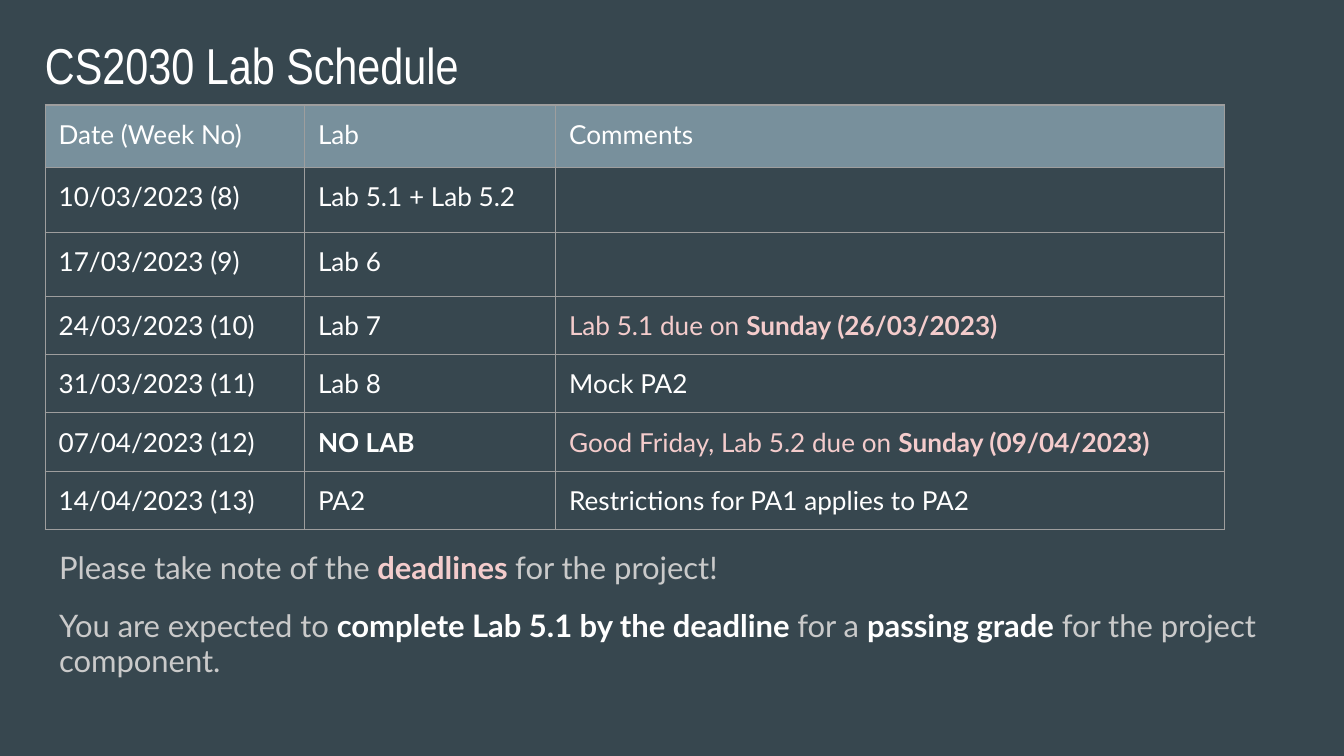
"""Builds the CS2030 lab schedule slide."""
from lxml import etree
from pptx import Presentation
from pptx import util as u
from pptx.dml import color
from pptx.enum import text as t
from pptx.oxml import ns

COLORS = {
    "slate": "37474F", "header": "78909C", "border": "9E9E9E",
    "white": "FFFFFF", "gray": "CACACA", "pink": "F4CCCC",
}
HEADING = "CS2030 Lab Schedule"
SCHEDULE = [
    ("Date (Week No)", "Lab", "Comments"),
    ("10/03/2023 (8)", "Lab 5.1 + Lab 5.2", ""),
    ("17/03/2023 (9)", "Lab 6", ""),
    ("24/03/2023 (10)", "Lab 7",
     [("Lab 5.1 due on ", "pink", False), ("Sunday (26/03/2023)", "pink", True)]),
    ("31/03/2023 (11)", "Lab 8", "Mock PA2"),
    ("07/04/2023 (12)", [("NO LAB", "white", True)],
     [("Good Friday, Lab 5.2 due on ", "pink", False), ("Sunday (09/04/2023)", "pink", True)]),
    ("14/04/2023 (13)", "PA2", "Restrictions for PA1 applies to PA2"),
]
REMINDERS = [
    [("Please take note of the ", "gray", False), ("deadlines ", "pink", True),
     ("for the project!", "gray", False)],
    [("You are expected to ", "gray", False),
     ("complete Lab 5.1 by the deadline", "white", True), (" for a ", "gray", False),
     ("passing grade", "white", True), (" for the project component.", "gray", False)],
]
COLUMN_WIDTHS = [139, 134.5, 358.5]
ROW_HEIGHTS = [33.5, 34.7, 34.3] + [31.2] * 4
INSET = 7.2


def rgb(name):
    return color.RGBColor.from_string(COLORS[name])


def write(paragraph, content, font="Lato", size=14, tint="white"):
    """Write a string, or a list of (text, colour, bold) parts."""
    parts = [(content, tint, False)] if isinstance(content, str) else content
    for words, shade, bold in parts:
        run = paragraph.add_run()
        run.text = words
        run.font.name, run.font.size, run.font.bold = font, u.Pt(size), bold
        run.font.color.rgb = rgb(shade)
    paragraph.alignment = t.PP_ALIGN.LEFT


def place(holder, left, top, width, height):
    holder.left, holder.top = u.Pt(left), u.Pt(top)
    holder.width, holder.height = u.Pt(width), u.Pt(height)
    frame = holder.text_frame
    frame.margin_left = frame.margin_right = u.Pt(INSET)
    frame.margin_top = frame.margin_bottom = u.Pt(INSET)
    frame.vertical_anchor = t.MSO_ANCHOR.TOP
    frame.auto_size = t.MSO_AUTO_SIZE.NONE
    frame.word_wrap = True
    return frame


def outline(cell):
    properties = cell._tc.get_or_add_tcPr()
    for position, side in enumerate(("lnL", "lnR", "lnT", "lnB")):
        line = etree.Element(ns.qn(f"a:{side}"), w=str(u.Pt(0.75)))
        fill = etree.SubElement(line, ns.qn("a:solidFill"))
        etree.SubElement(fill, ns.qn("a:srgbClr"), val=COLORS["border"])
        properties.insert(position, line)


def add_schedule(slide):
    schedule = slide.shapes.add_table(
        len(SCHEDULE), len(COLUMN_WIDTHS), u.Pt(24.2), u.Pt(56.2),
        u.Pt(sum(COLUMN_WIDTHS)), u.Pt(sum(ROW_HEIGHTS))).table
    schedule.first_row = schedule.horz_banding = False
    for column, width in zip(schedule.columns, COLUMN_WIDTHS):
        column.width = u.Pt(width)
    for index, (row, height, entries) in enumerate(zip(schedule.rows, ROW_HEIGHTS, SCHEDULE)):
        row.height = u.Pt(height)
        for cell, entry in zip(row.cells, entries):
            cell.margin_left = cell.margin_right = u.Pt(INSET)
            cell.margin_top = cell.margin_bottom = u.Pt(INSET if entry else 0)
            if index == 0:
                cell.fill.solid()
                cell.fill.fore_color.rgb = rgb("header")
            else:
                cell.fill.background()
            outline(cell)
            if entry:
                write(cell.text_frame.paragraphs[0], entry)


def add_reminders(frame):
    for index, reminder in enumerate(REMINDERS):
        paragraph = frame.add_paragraph() if index else frame.paragraphs[0]
        write(paragraph, reminder, size=16.6)
        paragraph.line_spacing = 0.95
        paragraph.space_before = paragraph.space_after = u.Pt(12 if index else 0)
        properties = paragraph._p.get_or_add_pPr()
        properties.set("marL", "0")
        properties.set("indent", "0")
        etree.SubElement(properties, ns.qn("a:buNone"))


def main():
    deck = Presentation()
    deck.slide_width, deck.slide_height = u.Pt(720), u.Pt(405)
    slide = deck.slides.add_slide(deck.slide_layouts[1])
    slide.background.fill.solid()
    slide.background.fill.fore_color.rgb = rgb("slate")
    heading, reminders = slide.placeholders
    write(place(heading, 16.9, 10.8, 671, 45.4).paragraphs[0], HEADING,
          font="Arial Narrow", size=27)
    add_reminders(place(reminders, 24.5, 288, 671, 87))
    add_schedule(slide)
    deck.save("out.pptx")


if __name__ == "__main__":
    main()
